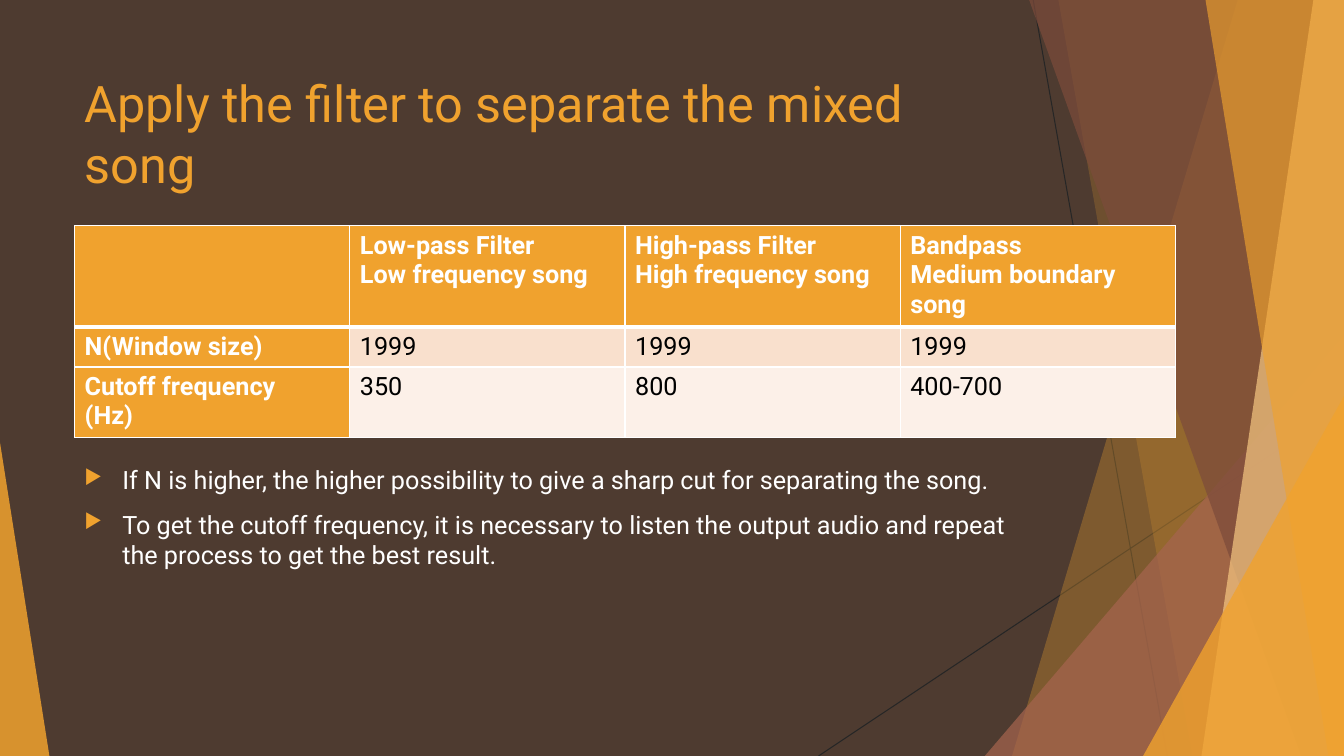
"""Builds the slide on separating a mixed song with filters."""
from lxml import etree
from pptx import Presentation
from pptx.dml.color import RGBColor
from pptx.enum.shapes import MSO_CONNECTOR, MSO_SHAPE
from pptx.enum.text import MSO_ANCHOR
from pptx.oxml.ns import qn
from pptx.util import Pt

STRAIGHT = MSO_CONNECTOR.STRAIGHT
TRIANGLE = MSO_SHAPE.ISOSCELES_TRIANGLE
TOP = MSO_ANCHOR.TOP

TITLE = "Apply the filter to separate the mixed song"
FILTER_ROWS = [
    [[], ["Low-pass Filter", "Low frequency song"],
     ["High-pass Filter", "High frequency song"],
     ["Bandpass", "Medium boundary song"]],
    [["N(Window size)"], ["1999"], ["1999"], ["1999"]],
    [["Cutoff frequency", "(Hz)"], ["350"], ["800"], ["400-700"]],
]
NOTES = [
    "If N is higher, the higher possibility to give a sharp cut for separating the song.",
    "To get the cutoff frequency, it is necessary to listen the output audio "
    "and repeat the process to get the best result.",
]
THEME = {
    "font": "Roboto", "title_size": 36, "body_size": 18,
    "background": "4E3B30", "amber": "F0A22E", "light_amber": "F6C782",
    "rust": "A5644E", "brown": "7C4B3B", "hairline": "262626",
    "white": "FFFFFF", "black": "000000", "bands": ["F9E0CD", "FCF0E8"],
}
WIDTH, HEIGHT = 960, 540
LEFT, TEXT_WIDTH = 53.28, 676.8
TITLE_TOP, TITLE_HEIGHT = 48.24, 103.68
TABLE_TOP, TABLE_WIDTH, ROW_HEIGHTS = 161.28, 786.4, [72, 28.8, 50.4]
NOTES_TOP, NOTES_HEIGHT, INDENT = 328.32, 146.88, 27
HAIRLINES = [(738, 0, 833.76, HEIGHT), (WIDTH, 290.16, 584.64, HEIGHT)]
# Each shard is ("band", top x, bottom x) or ("wedge", left, top, width, apex), then colour and opacity.
SHARDS = [
    (("band", 884.16, 722.88), "amber", 30),
    (("band", 756, 851.76), "amber", 20),
    (("wedge", 703.44, 239.76, 256.56, 1), "rust", 72),
    (("band", 735.12, 929.52), "brown", 70),
    (("band", 938.16, 858.24), "light_amber", 70),
    (("band", 861.12, 948.96), "amber", 65),
    (("wedge", 816.48, 282.96, 143.52, 1), "amber", 80),
    (("wedge", 0, 316.08, 35.28, 0), "amber", 85),
]


def rgb(name):
    return RGBColor.from_string(THEME.get(name, name))


def add_run(paragraph, text, size, color, bold=False):
    run = paragraph.add_run()
    run.text = text
    font = run.font
    font.name, font.size, font.bold = THEME["font"], Pt(size), bold
    font.color.rgb = rgb(color)


def add_paragraphs(frame, lines, size, color, bold=False):
    for index, line in enumerate(lines):
        paragraph = frame.paragraphs[0] if index == 0 else frame.add_paragraph()
        add_run(paragraph, line, size, color, bold)


def add_text_frame(slide, top, height):
    frame = slide.shapes.add_textbox(Pt(LEFT), Pt(top), Pt(TEXT_WIDTH), Pt(height)).text_frame
    frame.word_wrap = True
    frame.vertical_anchor = TOP
    return frame


def add_hairline(slide, ends):
    hairline = slide.shapes.add_connector(STRAIGHT, *map(Pt, ends))
    hairline.line.color.rgb = rgb("hairline")
    hairline.line.width = Pt(0.75)
    etree.SubElement(hairline.element.spPr, qn("a:effectLst"))


def add_shard(slide, outline, color, opacity):
    kind, *numbers = outline
    if kind == "band":
        top_x, bottom_x = numbers
        builder = slide.shapes.build_freeform(Pt(top_x), Pt(0))
        corners = [(WIDTH, 0), (WIDTH, HEIGHT), (bottom_x, HEIGHT)]
        builder.add_line_segments([(Pt(x), Pt(y)) for x, y in corners], close=True)
        shard = builder.convert_to_shape()
    else:
        left, top, width, apex = numbers
        shard = slide.shapes.add_shape(TRIANGLE, Pt(left), Pt(top), Pt(width), Pt(HEIGHT - top))
        shard.adjustments[0] = apex
    shard.shadow.inherit = False
    shard.line.fill.background()
    shard.fill.solid()
    shard.fill.fore_color.rgb = rgb(color)
    tint = shard.element.spPr.find(qn("a:solidFill"))[0]
    etree.SubElement(tint, qn("a:alpha"), val=str(opacity * 1000))


def add_borders(cell, widths):
    properties = cell._tc.get_or_add_tcPr()
    for position, (side, width) in enumerate(widths.items()):
        border = etree.Element(qn(f"a:ln{side}"), w=str(Pt(width)))
        fill = etree.SubElement(border, qn("a:solidFill"))
        etree.SubElement(fill, qn("a:srgbClr"), val=THEME["white"])
        properties.insert(position, border)


def add_filter_table(slide):
    columns = len(FILTER_ROWS[0])
    table = slide.shapes.add_table(len(FILTER_ROWS), columns, Pt(LEFT), Pt(TABLE_TOP),
                                   Pt(TABLE_WIDTH), Pt(sum(ROW_HEIGHTS))).table
    for column in table.columns:
        column.width = Pt(TABLE_WIDTH / columns)
    for r, entries in enumerate(FILTER_ROWS):
        table.rows[r].height = Pt(ROW_HEIGHTS[r])
        for c, lines in enumerate(entries):
            cell = table.cell(r, c)
            heading = r == 0 or c == 0
            cell.fill.solid()
            cell.fill.fore_color.rgb = rgb("amber" if heading else THEME["bands"][r - 1])
            add_borders(cell, {"L": 1, "R": 1, "T": 3 if r == 1 else 1, "B": 3 if r == 0 else 1})
            add_paragraphs(cell.text_frame, lines, THEME["body_size"],
                           "white" if heading else "black", heading)


def add_notes(slide):
    frame = add_text_frame(slide, NOTES_TOP, NOTES_HEIGHT)
    add_paragraphs(frame, NOTES, THEME["body_size"], "white")
    for paragraph in frame.paragraphs:
        paragraph.space_before = Pt(10)
        properties = paragraph._p.get_or_add_pPr()
        properties.set("marL", str(Pt(INDENT)))
        properties.set("indent", str(-Pt(INDENT)))
        bullet_color = etree.SubElement(properties, qn("a:buClr"))
        etree.SubElement(bullet_color, qn("a:srgbClr"), val=THEME["amber"])
        etree.SubElement(properties, qn("a:buSzPct"), val="80000")
        etree.SubElement(properties, qn("a:buChar"), char="▶")


def main():
    presentation = Presentation()
    presentation.slide_width, presentation.slide_height = Pt(WIDTH), Pt(HEIGHT)
    slide = presentation.slides.add_slide(presentation.slide_layouts[6])
    slide.background.fill.solid()
    slide.background.fill.fore_color.rgb = rgb("background")
    for ends in HAIRLINES:
        add_hairline(slide, ends)
    for shard in SHARDS:
        add_shard(slide, *shard)
    title_frame = add_text_frame(slide, TITLE_TOP, TITLE_HEIGHT)
    add_paragraphs(title_frame, [TITLE], THEME["title_size"], "amber")
    add_filter_table(slide)
    add_notes(slide)
    presentation.save("out.pptx")


if __name__ == "__main__":
    main()
